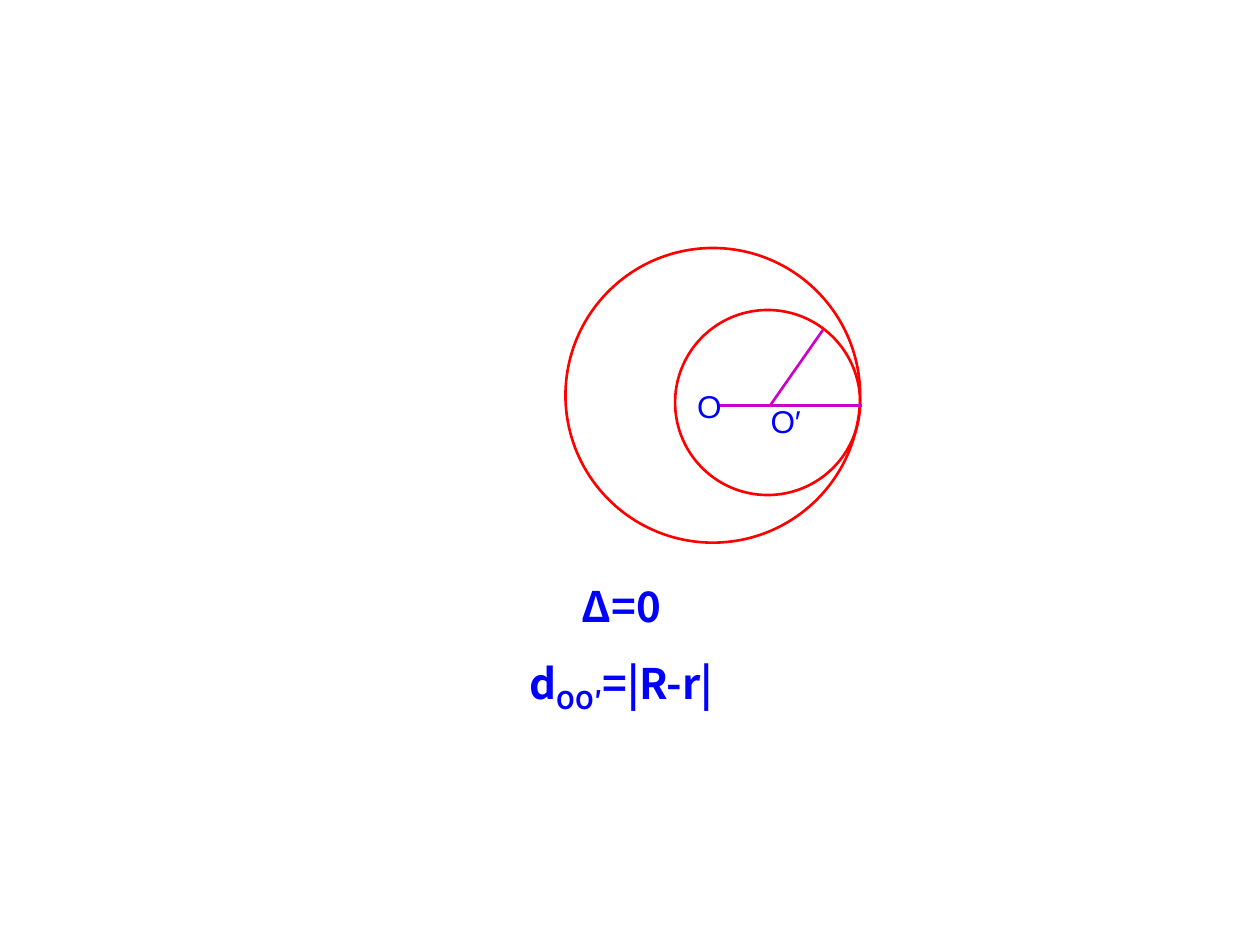
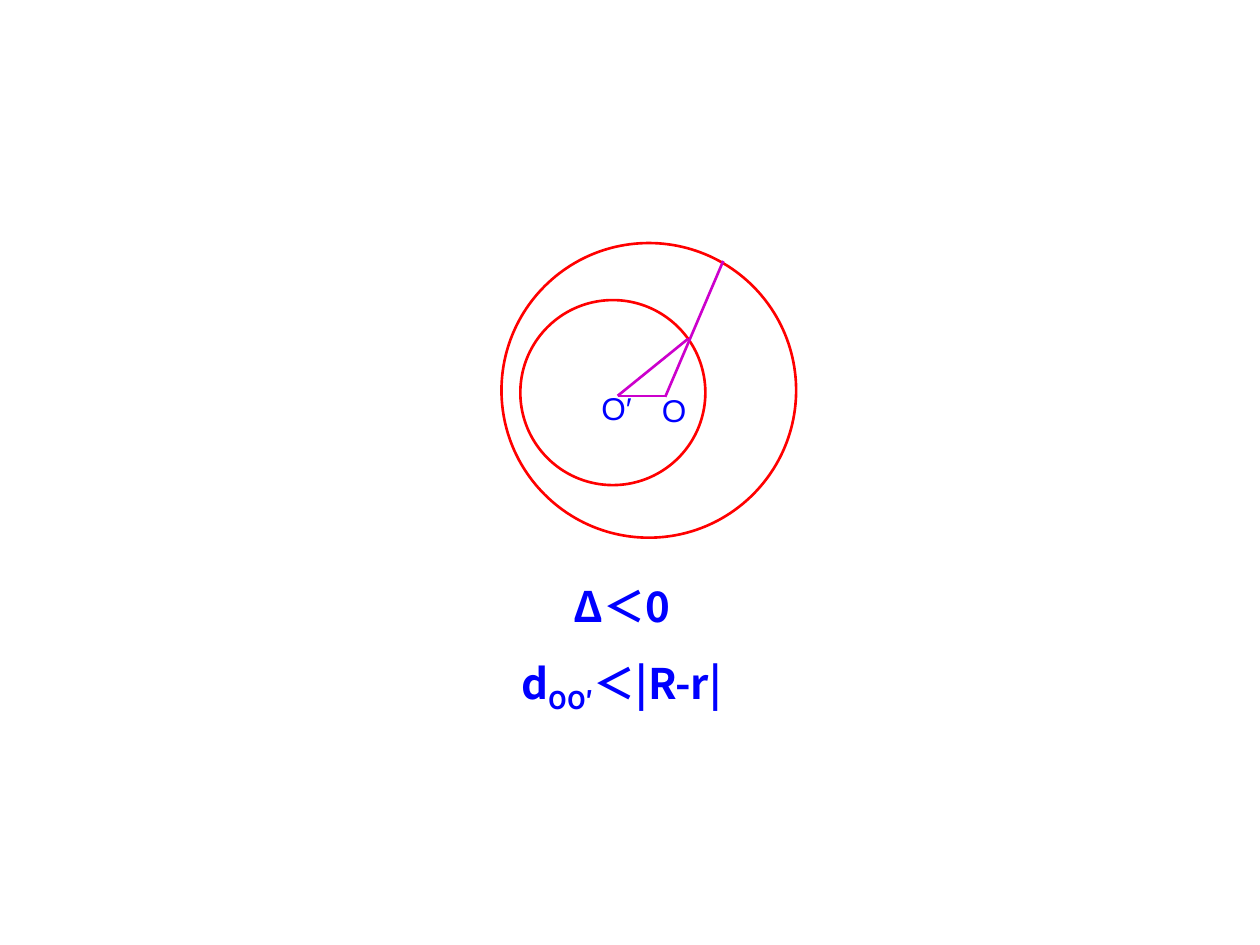
"""Draw two slides on the relative position of two circles."""
from typing import Any, NamedTuple

from lxml import etree
from pptx import Presentation, util as u
from pptx.dml import color
from pptx.enum import shapes, text
from pptx.oxml import ns

RED, PURPLE, BLUE = "FF0000", "CC00CC", "0000FF"
BIG, SMALL = 5.94, 3.73
STROKE = u.Pt(1.5)
MATH = {"size": u.Pt(24), "name": "Noto Sans CJK SC", "bold": True}
NAME = {"size": u.Pt(18), "name": "Arial"}
FRAME = {"word_wrap": True, "vertical_anchor": text.MSO_ANCHOR.TOP}


class Spot(NamedTuple):
    """A point in centimetres."""

    x: float
    y: float


class Ring(NamedTuple):
    """A circle given by its top left corner and diameter."""

    at: Spot
    size: float


class Ray(NamedTuple):
    """A line between two points."""

    a: Spot
    b: Spot


class Label(NamedTuple):
    """A box of centred lines, each a list of (text, baseline) parts."""

    at: Spot
    w: float
    h: float
    lines: list[list[tuple[str, int]]]
    font: dict[str, Any]


class Case(NamedTuple):
    """Everything that differs between the slides."""

    inner: Spot
    outer: Spot
    rays: list[Ray]
    sign: str
    big_o: Spot
    small_o: Spot


CASES = [
    Case(Spot(13.61, 6.25), Spot(11.4, 5),
         [Ray(Spot(14.48, 8.18), Spot(17.37, 8.18)),
          Ray(Spot(15.52, 8.18), Spot(16.59, 6.65))],
         "=", Spot(13.69, 7.67), Spot(14.81, 7.98)),
    Case(Spot(10.49, 6.05), Spot(10.11, 4.9),
         [Ray(Spot(13.41, 8), Spot(14.58, 5.26)),
          Ray(Spot(13.41, 7.98), Spot(12.45, 7.98)),
          Ray(Spot(12.45, 7.98), Spot(13.87, 6.83))],
         "＜", Spot(12.98, 7.75), Spot(11.4, 7.72)),
]


def rgb(code: str) -> color.RGBColor:
    """Turn a hex string into a colour."""
    return color.RGBColor.from_string(code)


def apply(item: Any, style: dict[str, Any]) -> None:
    """Set every attribute named in a style."""
    for key, val in style.items():
        setattr(item, key, val)


def ink(line: Any, code: str) -> None:
    """Give a line its colour and width."""
    line.color.rgb = rgb(code)
    line.width = STROKE


def draw_ring(slide: Any, ring: Ring) -> None:
    """Draw an unfilled circle."""
    oval = slide.shapes.add_shape(
        shapes.MSO_SHAPE.OVAL, *map(u.Cm, (*ring.at, ring.size, ring.size)))
    oval.shadow.inherit = False
    oval.fill.background()
    ink(oval.line, RED)


def draw_ray(slide: Any, ray: Ray) -> None:
    """Draw a straight line without a shadow."""
    line = slide.shapes.add_connector(
        shapes.MSO_CONNECTOR.STRAIGHT, *map(u.Cm, (*ray.a, *ray.b)))
    ink(line.line, PURPLE)
    etree.SubElement(line._element.spPr, ns.qn("a:effectLst"))


def draw_label(slide: Any, label: Label) -> None:
    """Write centred blue text."""
    box = slide.shapes.add_textbox(*map(u.Cm, (*label.at, label.w, label.h)))
    frame = box.text_frame
    apply(frame, FRAME)
    for i, parts in enumerate(label.lines):
        para = frame.add_paragraph() if i else frame.paragraphs[0]
        para.alignment = text.PP_ALIGN.CENTER
        if i:
            para.space_before = u.Pt(15)
        for words, base in parts:
            run = para.add_run()
            run.text = words
            apply(run.font, label.font)
            run.font.color.rgb = rgb(BLUE)
            props = run._r.get_or_add_rPr()
            etree.SubElement(props, ns.qn("a:ea"), typeface=label.font["name"])
            if base:
                props.set("baseline", str(base * 1000))


def draw_case(slide: Any, case: Case) -> None:
    """Draw the circles, radii, names and conditions of one case."""
    draw_ring(slide, Ring(case.inner, SMALL))
    draw_ring(slide, Ring(case.outer, BIG))
    for ray in case.rays:
        draw_ray(slide, ray)
    rule = [[(f"Δ{case.sign}0", 0)],
            [("d", 0), ("OO′", -25), (f"{case.sign}|R-r|", 0)]]
    draw_label(slide, Label(Spot(7.26, 11.58), 10.54, 2.97, rule, MATH))
    draw_label(slide, Label(case.big_o, 1.22, 1.02, [[("O", 0)]], NAME))
    draw_label(slide, Label(case.small_o, 2.06, 1.02, [[("O′", 0)]], NAME))


def main() -> None:
    """Build and save the slides."""
    deck = Presentation()
    deck.slide_width, deck.slide_height = u.Cm(25.4), u.Cm(19.05)
    for case in CASES:
        draw_case(deck.slides.add_slide(deck.slide_layouts[6]), case)
    deck.save("out.pptx")


if __name__ == "__main__":
    main()
